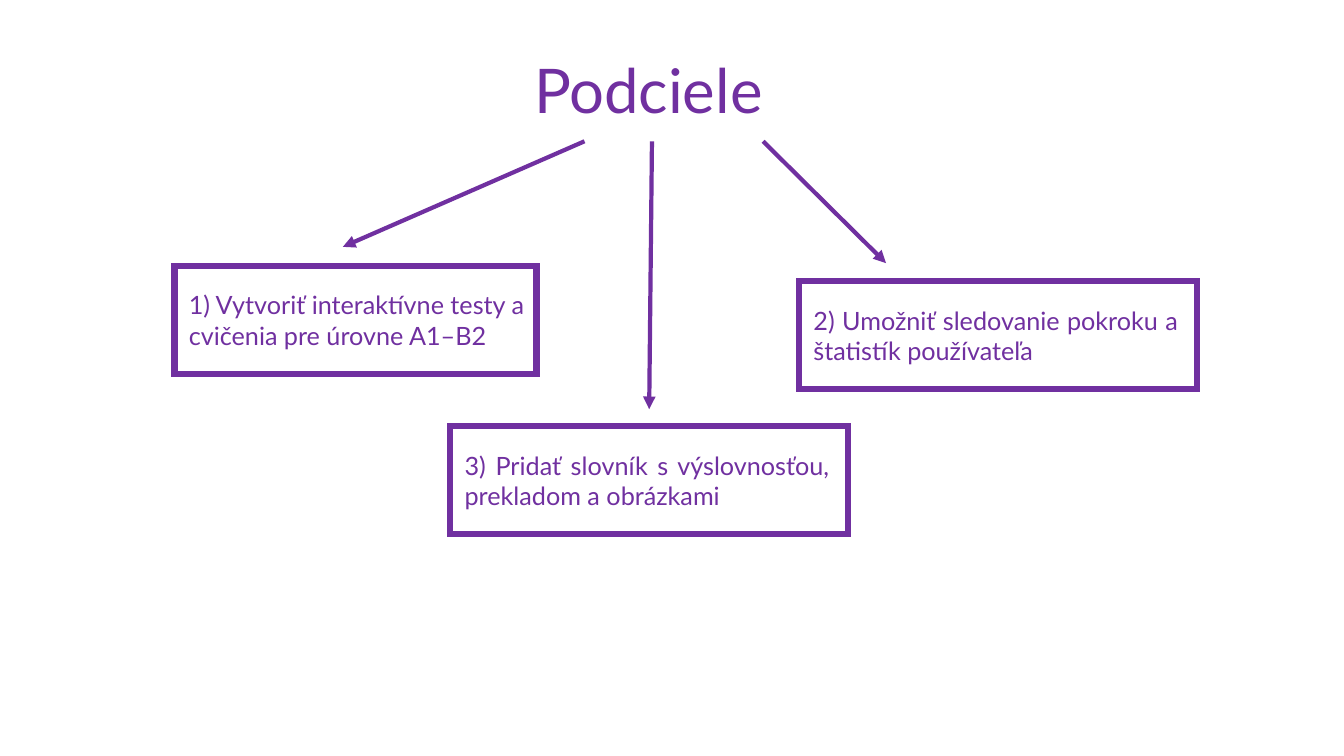
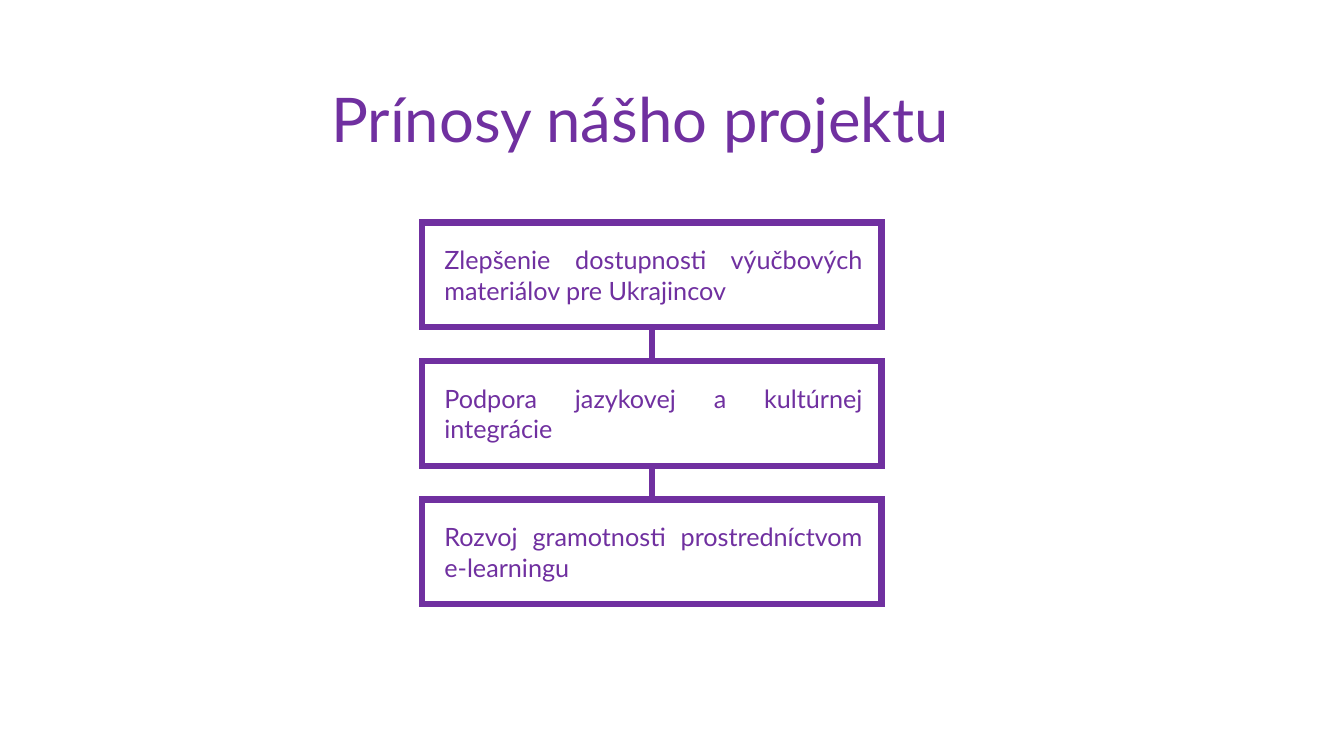
from dataclasses import dataclass

from lxml import etree
from pptx import Presentation
from pptx.dml.color import RGBColor
from pptx.enum.shapes import MSO_CONNECTOR, MSO_SHAPE
from pptx.enum.text import MSO_ANCHOR, PP_ALIGN
from pptx.oxml.ns import qn
from pptx.slide import Slide
from pptx.text.text import TextFrame
from pptx.util import Cm, Pt

RECT = MSO_SHAPE.RECTANGLE
LINE = MSO_CONNECTOR.STRAIGHT
MIDDLE = MSO_ANCHOR.MIDDLE
LEFT = PP_ALIGN.LEFT
FULL = PP_ALIGN.JUSTIFY

# Shared look
COLORS = {"main": "7030A0"}
FONTS = {
    "title": {"name": "Lato", "size": Pt(44)},
    "body": {"name": "Lato", "size": Pt(18)},
}
FRAME_PT = 4.5
ARROW_PT = 3


@dataclass(frozen=True)
class Area:
    """Place and size in centimetres."""
    left: float
    top: float
    width: float
    height: float

    def emu(self) -> tuple[Cm, Cm, Cm, Cm]:
        return Cm(self.left), Cm(self.top), Cm(self.width), Cm(self.height)


@dataclass(frozen=True)
class Card:
    text: str
    area: Area
    pad_left: float = 0.36
    pad_right: float = 0.48


@dataclass(frozen=True)
class Link:
    """Line between two points in centimetres."""
    x1: float
    y1: float
    x2: float
    y2: float


def color(key: str) -> RGBColor:
    return RGBColor.from_string(COLORS[key])


def write(frame: TextFrame, text: str, style: str, align: PP_ALIGN,
          spacing: float = 1.0) -> None:
    frame.text = text
    for para in frame.paragraphs:
        para.alignment = align
        para.line_spacing = spacing
        for run in para.runs:
            for key, value in FONTS[style].items():
                setattr(run.font, key, value)
            run.font.color.rgb = color("main")


def add_card(slide: Slide, card: Card) -> None:
    box = slide.shapes.add_shape(RECT, *card.area.emu())
    box.shadow.inherit = False
    box.fill.background()
    box.line.color.rgb = color("main")
    box.line.width = Pt(FRAME_PT)
    # Square corners
    etree.SubElement(box.element.spPr.find(qn("a:ln")), qn("a:miter"), lim="800000")
    frame = box.text_frame
    layout = {
        "word_wrap": True,
        "vertical_anchor": MIDDLE,
        "margin_left": Cm(card.pad_left),
        "margin_right": Cm(card.pad_right),
    }
    for key, value in layout.items():
        setattr(frame, key, value)
    write(frame, card.text, "body", FULL)


def add_link(slide: Slide, link: Link, width: float, arrow: bool) -> None:
    line = slide.shapes.add_connector(
        LINE, Cm(link.x1), Cm(link.y1), Cm(link.x2), Cm(link.y2))
    line.line.color.rgb = color("main")
    line.line.width = Pt(width)
    props = line.element.spPr
    if arrow:
        etree.SubElement(props.find(qn("a:ln")), qn("a:tailEnd"), type="triangle")
    etree.SubElement(props, qn("a:effectLst"))


def add_page(deck: Presentation, title: str, area: Area) -> Slide:
    slide = deck.slides.add_slide(deck.slide_layouts[6])
    frame = slide.shapes.add_textbox(*area.emu()).text_frame
    frame.word_wrap = True
    frame.vertical_anchor = MIDDLE
    write(frame, title, "title", LEFT, 0.9)
    return slide


def draw_goals(deck: Presentation) -> None:
    slide = add_page(deck, "Podciele", Area(13.21, 0.53, 7.44, 3.68))
    high, wide, start = 2.72, 10.03, 3.56
    cards = (
        Card("1) Vytvoriť interaktívne testy a\ncvičenia pre úrovne A1–B2",
             Area(4.4, 6.7, 9.12, high), pad_right=0),
        Card("2) Umožniť sledovanie pokroku a štatistík používateľa",
             Area(20.14, 7.09, wide, high)),
        Card("3) Pridať slovník s výslovnosťou, prekladom a obrázkami",
             Area(11.35, 10.74, wide, high)),
    )
    links = (
        Link(14.73, start, 8.64, 6.22),
        Link(19.23, start, 22.33, 6.63),
        Link(16.43, start, 16.36, 10.31),
    )
    for card, link in zip(cards, links):
        add_card(slide, card)
        add_link(slide, link, ARROW_PT, True)


def draw_gains(deck: Presentation) -> None:
    slide = add_page(deck, "Prínosy nášho projektu", Area(8.1, 1.24, 17.68, 3.68))
    left, top, wide, high, step = 10.64, 5.61, 11.58, 2.64, 3.49
    texts = (
        "Zlepšenie dostupnosti výučbových materiálov pre Ukrajincov",
        "Podpora jazykovej a kultúrnej integrácie",
        "Rozvoj gramotnosti prostredníctvom e-learningu",
    )
    mid = left + wide / 2
    for row, text in enumerate(texts):
        y = top + row * step
        add_card(slide, Card(text, Area(left, y, wide, high), pad_left=0.56))
        # Join each card to the one above
        if row:
            add_link(slide, Link(mid, y - step + high, mid, y), FRAME_PT, False)


def main() -> None:
    deck = Presentation()
    deck.slide_width, deck.slide_height = Cm(33.87), Cm(19.05)
    draw_goals(deck)
    draw_gains(deck)
    deck.save("out.pptx")


if __name__ == "__main__":
    main()
